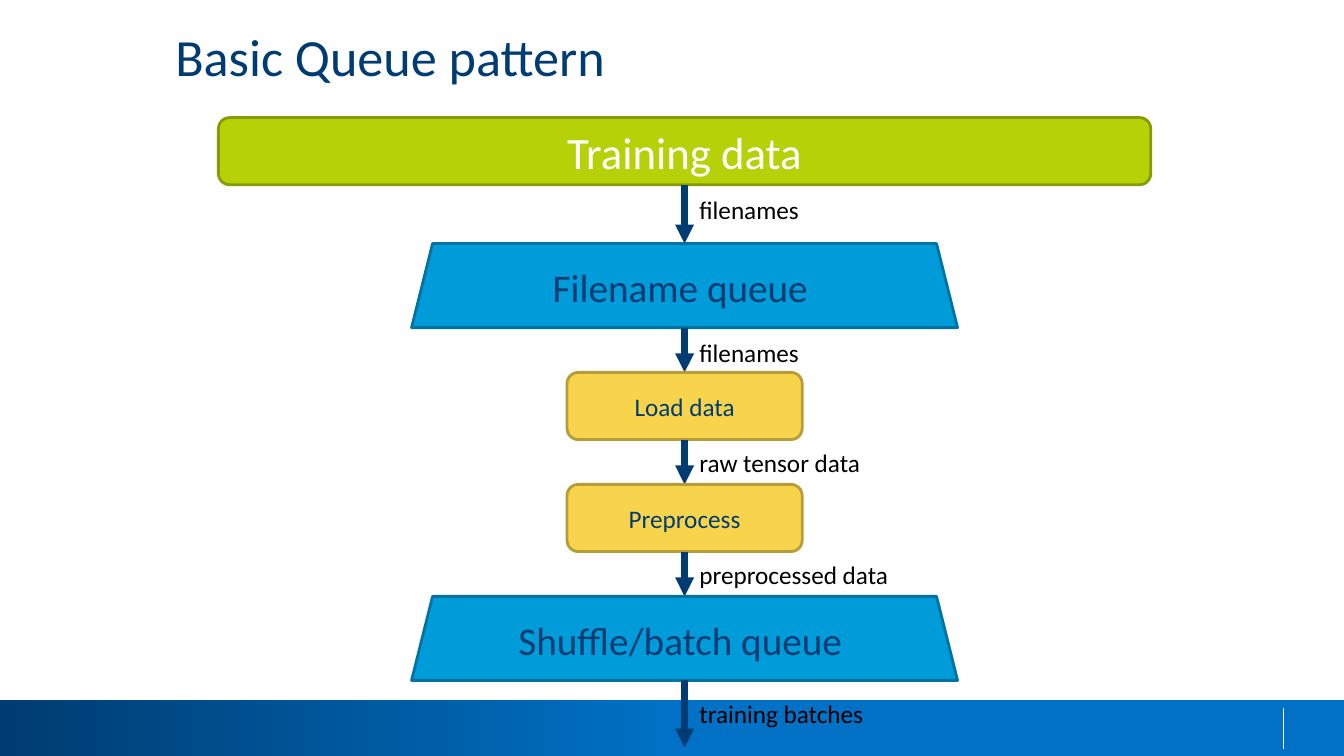
from lxml.etree import SubElement
from pptx import Presentation
from pptx.dml.color import RGBColor
from pptx.enum.shapes import MSO_CONNECTOR, MSO_SHAPE
from pptx.enum.text import MSO_ANCHOR, PP_ALIGN
from pptx.oxml.ns import qn
from pptx.util import Pt

NAVY, WHITE, BLACK = "003C71", "FFFFFF", "000000"
MID = 489  # centre line of the flow


def color(code):
    return RGBColor.from_string(code)


class Painter:
    font = "Calibri"

    def __init__(self, slide):
        self.slide = slide
        self.shapes = slide.shapes

    def label(self, shape, text, size, ink, align):
        frame = shape.text_frame
        frame.word_wrap = True
        frame.text = text
        par = frame.paragraphs[0]
        par.alignment = align
        font = par.runs[0].font
        font.name, font.size = self.font, Pt(size)
        font.color.rgb = color(ink)
        return frame

    def text(self, x, y, w, h, text, size, ink):
        box = self.shapes.add_textbox(Pt(x), Pt(y), Pt(w), Pt(h))
        return self.label(box, text, size, ink, PP_ALIGN.LEFT)

    def title(self, text):
        frame = self.text(125.3, 13.7, 770, 51.8, text, 37.3, NAVY)
        frame.margin_left = frame.margin_right = 0
        frame.margin_top = frame.margin_bottom = 0
        frame.vertical_anchor = MSO_ANCHOR.MIDDLE

    def box(self, kind, y, w, h, fill, edge, text, size, ink):
        box = self.shapes.add_shape(kind, Pt(MID - w / 2), Pt(y), Pt(w), Pt(h))
        box.shadow.inherit = False
        box.fill.solid()
        box.fill.fore_color.rgb = color(fill)
        box.line.color.rgb = color(edge)
        box.line.width = Pt(2)
        frame = self.label(box, text, size, ink, PP_ALIGN.CENTER)
        frame.vertical_anchor = MSO_ANCHOR.MIDDLE

    def line(self, x, top, end, ink, width, arrow=False):
        line = self.shapes.add_connector(
            MSO_CONNECTOR.STRAIGHT, Pt(x), Pt(top), Pt(x), Pt(end))
        line.line.color.rgb = color(ink)
        line.line.width = Pt(width)
        props = line._element.spPr
        if arrow:
            SubElement(props.get_or_add_ln(), qn("a:tailEnd"), type="triangle")
        SubElement(props, qn("a:effectLst"))

    def band(self, y, w, h, stops):
        band = self.shapes.add_shape(MSO_SHAPE.RECTANGLE, 0, Pt(y), Pt(w), Pt(h))
        band.shadow.inherit = False
        band.line.fill.background()
        band.fill.gradient()
        band.fill.gradient_angle = 0
        for stop, (place, code) in zip(band.fill.gradient_stops, stops):
            stop.position = place
            stop.color.rgb = color(code)


def main():
    deck = Presentation()
    deck.slide_width, deck.slide_height = Pt(960), Pt(540)
    art = Painter(deck.slides.add_slide(deck.slide_layouts[6]))

    # Footer and title
    art.band(500, 960, 40, [(0, NAVY), (0.5, "0071C5")])
    art.line(916.6, 505.4, 535, WHITE, 0.75)
    art.title("Basic Queue pattern")

    # Styles: shape, width, height, fill, edge, text size, text colour
    data = (MSO_SHAPE.ROUNDED_RECTANGLE, 666, 48, "B7D108", "879B06", 32, WHITE)
    queue = (MSO_SHAPE.TRAPEZOID, 390, 60, "009CDA", "0073A1", 28, NAVY)
    step = (MSO_SHAPE.ROUNDED_RECTANGLE, 168, 48, "F8D44C", "B79D38", 18, NAVY)

    # Flow: style, text, arrow length, arrow label, label drop
    flow = [
        (data, "Training data", 42, "filenames", 3.5),
        (queue, "Filename queue ", 32, "filenames", 3.5),
        (step, "Load data", 32, "raw tensor data", 2),
        (step, "Preprocess", 32, "preprocessed data", 2),
        (queue, "Shuffle/batch queue ", 48, "training batches", 9.5),
    ]
    y = 84
    for (kind, w, h, fill, edge, size, ink), text, gap, note, drop in flow:
        art.box(kind, y, w, h, fill, edge, text, size, ink)
        y += h
        art.line(MID, y, y + gap, NAVY, 4.5, arrow=True)
        art.text(MID + 3.5, y + drop, 170, 29, note, 18, BLACK)
        y += gap

    deck.save("out.pptx")


if __name__ == "__main__":
    main()
